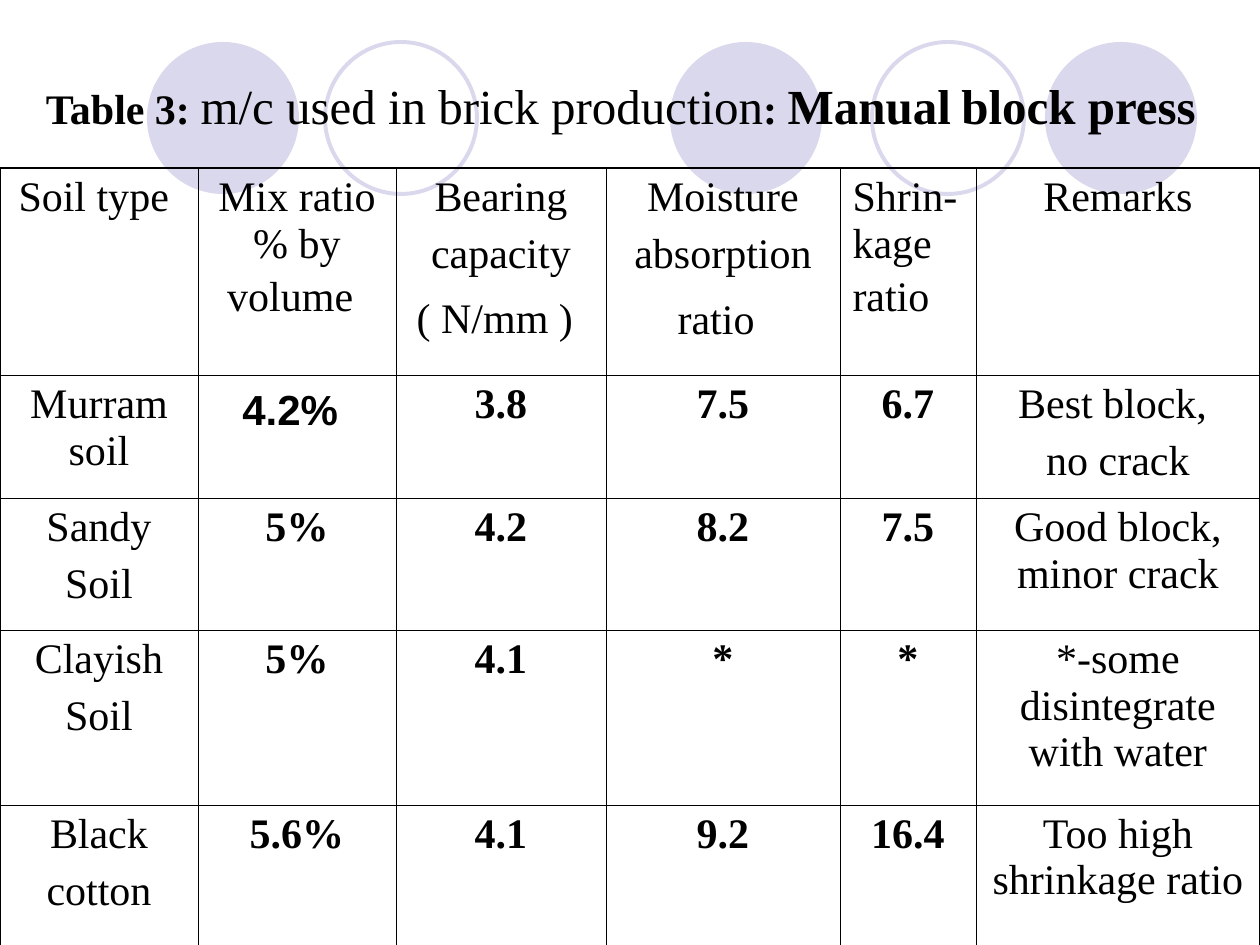
import pptx
import pptx.util
import pptx.dml.color
import pptx.enum.shapes
import pptx.enum.text
import pptx.oxml
import pptx.oxml.ns

RGBColor = pptx.dml.color.RGBColor
BLACK = RGBColor(0x00, 0x00, 0x00)
LILAC = RGBColor(0xD9, 0xD8, 0xEC)
CENTER = pptx.enum.text.PP_ALIGN.CENTER
LEFT = pptx.enum.text.PP_ALIGN.LEFT
SERIF, SANS = "Times New Roman", "Arial"
BODY_SIZE, LARGE_SIZE = 24, 28
THIN, THICK = 0.45, 1.08
EMU_PER_PX = 914400 / 126

CIRCLE_TOP, CIRCLE_SIZE = 42, 152
CIRCLES = [(670, True), (1045, True), (147, True), (872, False), (325, False)]

# Text, size, bold, font
TITLE_RUNS = [
    ("Table 3: ", 24, True, SERIF),
    ("m/c used in brick production", 28, False, SERIF),
    (": ", 24, True, SERIF),
    ("Manual", 28, True, SERIF),
    (" ", 24, True, SERIF),
    ("block press", 28, True, SERIF),
    (" ", 38, False, SANS),
]

COLUMN_WIDTHS = [198, 198, 210, 234, 136, 284]
ROW_HEIGHTS = [207, 123, 132, 175, 142]
ROWS = [
    ["Soil type ", "Mix ratio % by volume", "Bearing\ncapacity\n( N/mm )",
     "Moisture\nabsorption\nratio", "Shrin-kage ratio", "Remarks"],
    ["Murram soil", "4.2%", "3.8", "7.5", "6.7", "Best block, \nno crack"],
    ["Sandy\nSoil", "5%", "4.2", "8.2", "7.5", "Good block, minor crack"],
    ["Clayish\nSoil", "5%", "4.1", "*", "*", "*-some disintegrate with water"],
    ["Black\ncotton", "5.6%", "4.1", "9.2", "16.4", "Too high shrinkage ratio"],
]
# Cells whose last line ends with a larger space, and the font of that space
LARGE_ENDS = {(0, 1): SANS, (0, 2): SERIF, (0, 3): SANS, (0, 4): SANS, (1, 1): SANS}
SANS_CELLS = {(1, 1)}
LEFT_CELLS = {(0, 4)}


def px(length):
    return pptx.util.Emu(round(length * EMU_PER_PX))


def set_font(font, size, bold, name):
    font.size = pptx.util.Pt(size)
    font.bold = bold
    font.name = name
    font.color.rgb = BLACK


class SlideBuilder:
    def __init__(self, presentation):
        self.slide = presentation.slides.add_slide(presentation.slide_layouts[5])

    def circle(self, left, filled):
        shape = self.slide.shapes.add_shape(
            pptx.enum.shapes.MSO_SHAPE.OVAL,
            px(left), px(CIRCLE_TOP), px(CIRCLE_SIZE), px(CIRCLE_SIZE))
        shape.shadow.inherit = False
        if filled:
            shape.fill.solid()
            shape.fill.fore_color.rgb = LILAC
            shape.line.fill.background()
        else:
            shape.fill.background()
            shape.line.color.rgb = LILAC
            shape.line.width = pptx.util.Pt(2.25)

    def title(self, left, top, width, height, runs):
        title = self.slide.shapes.title
        title.left, title.top, title.width, title.height = map(px, (left, top, width, height))
        # Bring the title in front of the circles
        self.slide.shapes._spTree.append(title._element)
        frame = title.text_frame
        frame.word_wrap = True
        frame.auto_size = pptx.enum.text.MSO_AUTO_SIZE.NONE
        frame.vertical_anchor = pptx.enum.text.MSO_ANCHOR.MIDDLE
        paragraph = frame.paragraphs[0]
        paragraph.alignment = CENTER
        for text, size, bold, name in runs:
            run = paragraph.add_run()
            run.text = text
            set_font(run.font, size, bold, name)

    def cell_borders(self, cell, widths):
        properties = cell._tc.get_or_add_tcPr()
        for index, (side, width) in enumerate(widths.items()):
            properties.insert(index, pptx.oxml.parse_xml(
                f'<a:ln{side} {pptx.oxml.ns.nsdecls("a")} w="{pptx.util.Pt(width)}">'
                f'<a:solidFill><a:srgbClr val="{BLACK}"/></a:solidFill></a:ln{side}>'))

    def cell_text(self, cell, position, text):
        row, column = position
        bold = row > 0 and 1 <= column <= 4
        name = SANS if position in SANS_CELLS else SERIF
        lines = text.split("\n")
        for index, line in enumerate(lines):
            frame = cell.text_frame
            paragraph = frame.paragraphs[0] if index == 0 else frame.add_paragraph()
            paragraph.alignment = LEFT if position in LEFT_CELLS else CENTER
            large_end = position in LARGE_ENDS and index == len(lines) - 1
            if index:
                paragraph.space_before = pptx.util.Pt(7 if large_end else 6)
            set_font(paragraph.font, BODY_SIZE, bold, name)
            paragraph.add_run().text = line
            if large_end:
                end = paragraph.add_run()
                end.text = " "
                set_font(end.font, LARGE_SIZE, False, LARGE_ENDS[position])

    def table(self, left, top, rows):
        table = self.slide.shapes.add_table(
            len(rows), len(COLUMN_WIDTHS), px(left), px(top),
            px(sum(COLUMN_WIDTHS)), px(sum(ROW_HEIGHTS))).table
        table.first_row = table.horz_banding = False
        for column, width in zip(table.columns, COLUMN_WIDTHS):
            column.width = px(width)
        for row, height in zip(table.rows, ROW_HEIGHTS):
            row.height = px(height)
        last_row, last_column = len(rows) - 1, len(COLUMN_WIDTHS) - 1
        for r, texts in enumerate(rows):
            for c, text in enumerate(texts):
                cell = table.cell(r, c)
                cell.fill.background()
                self.cell_borders(cell, {
                    "L": THICK if c == 0 else THIN,
                    "R": THICK if c == last_column else THIN,
                    "T": THICK if r == 0 else THIN,
                    "B": THICK if r == last_row else THIN})
                self.cell_text(cell, (r, c), text)


def main():
    presentation = pptx.Presentation()
    presentation.slide_width, presentation.slide_height = px(1260), px(945)
    builder = SlideBuilder(presentation)

    # Decorative circles
    for left, filled in CIRCLES:
        builder.circle(left, filled)

    # Title and soil table
    builder.title(0, 0, 1260, 195, TITLE_RUNS)
    builder.table(0, 168, ROWS)

    presentation.save("out.pptx")


if __name__ == "__main__":
    main()
